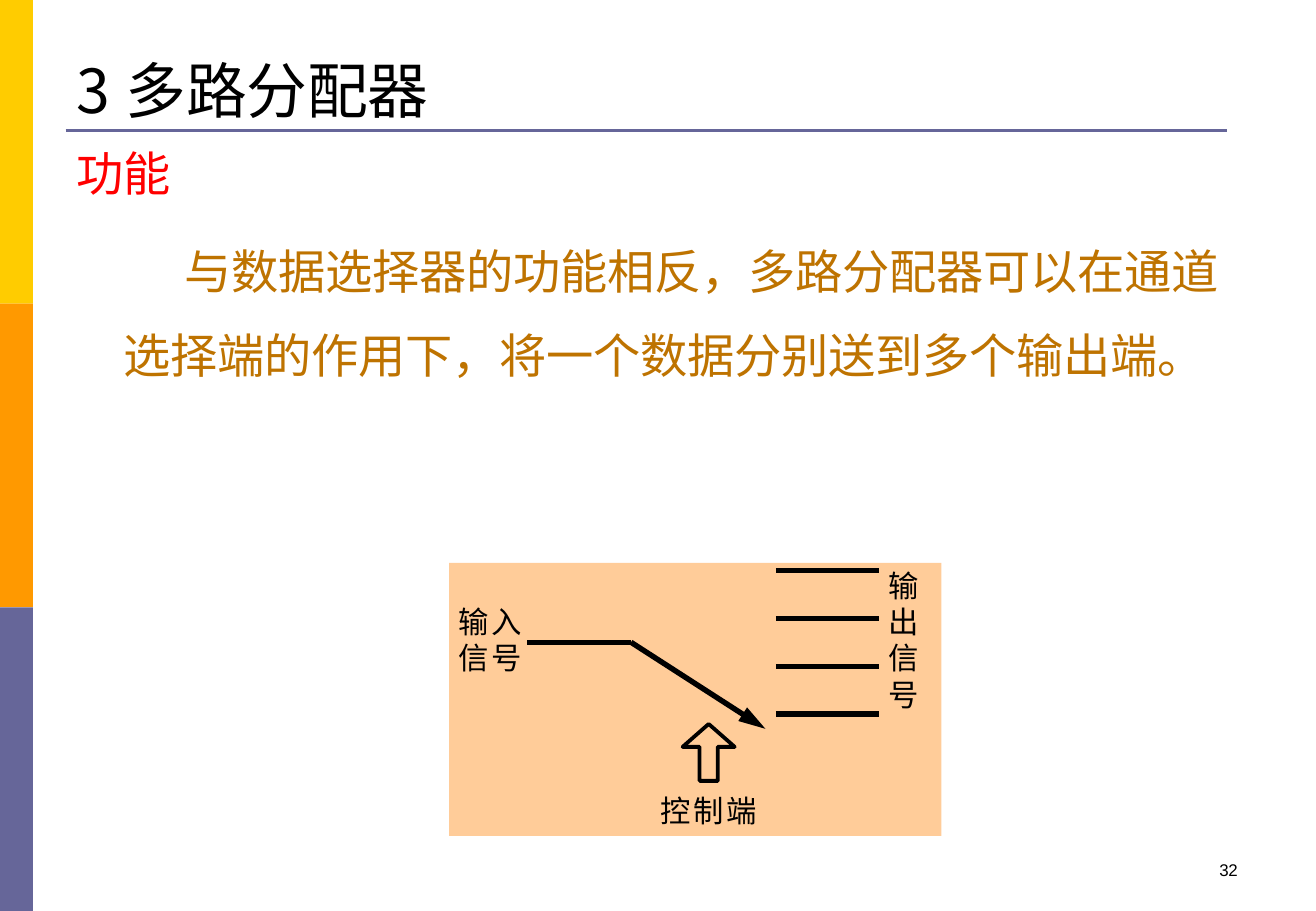
from lxml.etree import SubElement
from pptx import Presentation
from pptx.dml.color import RGBColor
from pptx.enum.shapes import MSO_CONNECTOR, MSO_SHAPE
from pptx.enum.text import MSO_ANCHOR, MSO_AUTO_SIZE, PP_ALIGN
from pptx.oxml.ns import qn
from pptx.util import Cm, Pt

COLORS = {
    "black": "000000",
    "yellow": "FFCC00",
    "orange": "FF9900",
    "violet": "666699",
    "red": "FF0000",
    "brown": "BE7300",
    "peach": "FFCC99",
}
CHINESE_FONT = "Noto Sans CJK SC"


def color(name):
    return RGBColor.from_string(COLORS[name])


class SlideBuilder:
    """Holds the style and the current slide."""

    def __init__(self, page, font=CHINESE_FONT):
        self.page = page
        self.font = font

    def frame(self, box, left, top, width, height):
        """Place a text shape and return its first paragraph."""
        box.left, box.top = Cm(left), Cm(top)
        box.width, box.height = Cm(width), Cm(height)
        frame = box.text_frame
        frame.auto_size = MSO_AUTO_SIZE.NONE
        frame.word_wrap = True
        frame.vertical_anchor = MSO_ANCHOR.TOP
        frame.margin_left = frame.margin_right = frame.margin_bottom = 0
        frame.margin_top = Cm(0.03)
        return frame.paragraphs[0]

    def layout(self, para, line, before=0, left=0, first=0, align=PP_ALIGN.LEFT):
        """Set the indents and spacing of a paragraph without a bullet."""
        properties = para._p.get_or_add_pPr()
        properties.set("marL", str(Cm(left)))
        properties.set("indent", str(Cm(first)))
        SubElement(properties, qn("a:buNone"))
        para.alignment = align
        para.line_spacing = Pt(line)
        para.space_before = Pt(before)
        para.space_after = Pt(0)

    def span(self, para, text, size, tint="black", spacing=0.0, font=None):
        """Add one run; spacing is the letter spacing in points."""
        span = para.add_run()
        span.text = text
        span.font.size = Pt(size)
        span.font.bold = False
        span.font.color.rgb = color(tint)
        span.font.name = font or self.font
        properties = span._r.get_or_add_rPr()
        properties.set("spc", str(round(spacing * 100)))
        SubElement(properties, qn("a:ea")).set("typeface", font or self.font)

    def label(self, text, left, top, width, height, size=18, line=21.5,
              spacing=1.5, align=PP_ALIGN.LEFT, font=None):
        box = self.page.shapes.add_textbox(0, 0, 0, 0)
        para = self.frame(box, left, top, width, height)
        self.layout(para, line, align=align)
        self.span(para, text, size, spacing=spacing, font=font)

    def block(self, kind, left, top, width, height, fill=None, line=None):
        shape = self.page.shapes.add_shape(
            kind, Cm(left), Cm(top), Cm(width), Cm(height))
        shape.shadow.inherit = False
        if fill:
            shape.fill.solid()
            shape.fill.fore_color.rgb = color(fill)
        else:
            shape.fill.background()
        if line:
            shape.line.color.rgb = color("black")
            shape.line.width = Pt(line)
        else:
            shape.line.fill.background()
        return shape

    def line(self, x1, y1, x2, y2, width=3.11, tint="black", arrow=False):
        connector = self.page.shapes.add_connector(
            MSO_CONNECTOR.STRAIGHT, Cm(x1), Cm(y1), Cm(x2), Cm(y2))
        connector.line.color.rgb = color(tint)
        connector.line.width = Pt(width)
        if arrow:
            head = SubElement(connector.line._get_or_add_ln(), qn("a:tailEnd"))
            head.set("type", "triangle")
            head.set("w", "med")
            head.set("len", "lg")
        SubElement(connector._element.spPr, qn("a:effectLst"))


def main():
    deck = Presentation()
    deck.slide_width, deck.slide_height = Cm(27.51), Cm(19.05)
    page = deck.slides.add_slide(deck.slide_layouts[1])
    builder = SlideBuilder(page)

    # Side stripes and title rule
    stripe_height = 6.35
    for index, tint in enumerate(("yellow", "orange", "violet")):
        builder.block(MSO_SHAPE.RECTANGLE, 0, index * stripe_height,
                      0.69, stripe_height, tint)
    builder.line(1.37, 2.73, 25.65, 2.73, 1.56, "violet")

    # Title
    para = builder.frame(page.shapes.title, 1.6, 1.08, 9, 1.6)
    builder.layout(para, 43)
    builder.span(para, "3", 36)
    builder.span(para, " ", 36, spacing=1)
    builder.span(para, "多路分配器", 36, spacing=-0.1)

    # Function description
    body = page.placeholders[1]
    para = builder.frame(body, 1.6, 3, 24, 5.05)
    builder.layout(para, 33.3)
    builder.span(para, "功能", 28, "red", -0.1)
    para = body.text_frame.add_paragraph()
    builder.layout(para, 49.8, before=8.3, left=0.99, first=1.27)
    builder.span(para, "与数据选择器的功能相反，多路分配器可以在通道 "
                 "选择端的作用下，将一个数据分别送到多个输出端。",
                 28, "brown", -0.1)

    # Switch diagram: panel, output lines, input line and arm
    builder.block(MSO_SHAPE.RECTANGLE, 9.39, 11.77, 10.29, 5.71, "peach")
    for index in range(4):
        builder.line(16.22, 11.93 + index, 18.38, 11.93 + index)
    builder.line(11.02, 13.43, 13.19, 13.43)
    builder.line(13.19, 13.43, 16, 15.24, 3.19, arrow=True)

    # Control arrow
    control = builder.block(MSO_SHAPE.UP_ARROW, 14.27, 15.14, 1.09, 1.19, line=2.25)
    control.adjustments[0] = 0.35
    control.adjustments[1] = 0.44

    # Diagram labels
    builder.label("输 出 信 号", 18.58, 11.83, 0.71, 3.12, spacing=1.1,
                  align=PP_ALIGN.JUSTIFY)
    builder.label("输入 信号", 9.58, 12.59, 1.42, 1.6)
    builder.label("控制端", 13.81, 16.53, 2.11, 0.84)

    # Page number
    builder.label("32", 25.49, 17.96, 0.6, 0.46, size=10, line=11.5,
                  spacing=-0.1, font="Arial")

    deck.save("out.pptx")


if __name__ == "__main__":
    main()
